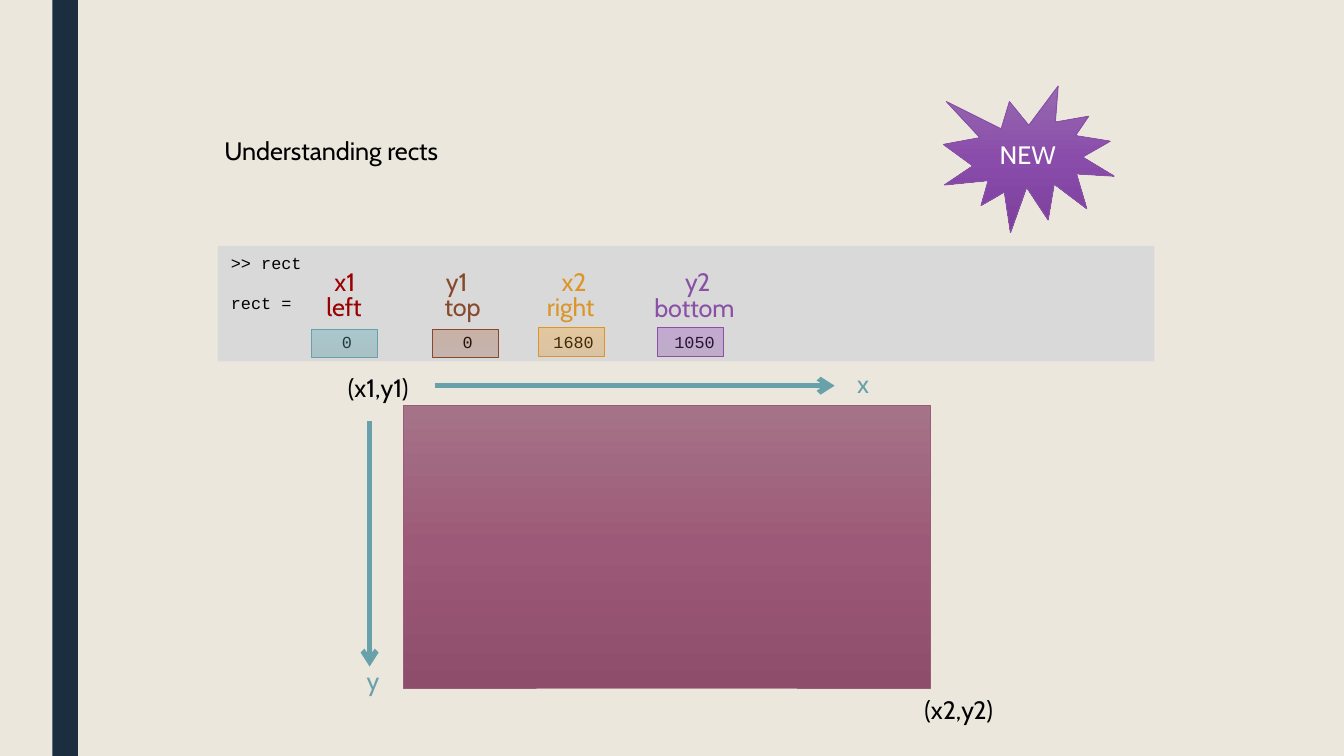
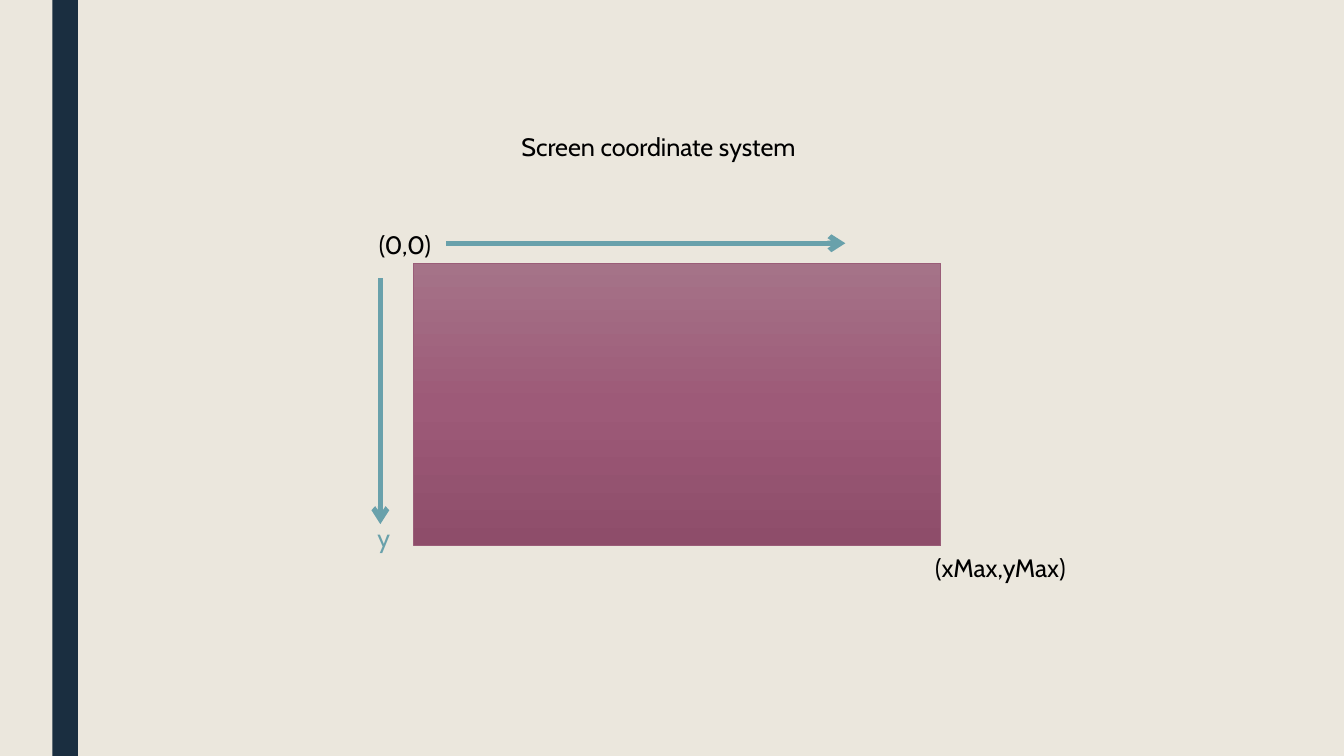
from lxml.etree import SubElement
from pptx import Presentation
from pptx.dml.color import RGBColor
from pptx.enum.shapes import MSO_CONNECTOR as Connector, MSO_SHAPE as Shape
from pptx.enum.text import MSO_ANCHOR as Anchor, MSO_AUTO_SIZE as AutoSize, PP_ALIGN as Align
from pptx.oxml.ns import qn
from pptx.util import Emu, Inches, Pt

SLIDE_W = 10
SLIDE_H = SLIDE_W * 9 / 16
SANS, MONO = "Cabin", "Courier New"
BODY_SIZE, CODE_SIZE = 13.5, 9
LABEL_H = 0.33

CREAM = RGBColor(0xEB, 0xE7, 0xDD)
NAVY = RGBColor(0x1A, 0x2E, 0x40)
GREY = RGBColor(0xD9, 0xD9, 0xD9)
BLACK = RGBColor(0x00, 0x00, 0x00)
WHITE = RGBColor(0xFF, 0xFF, 0xFF)
TEAL = RGBColor(0x69, 0xA1, 0xAB)
RED = RGBColor(0x99, 0x00, 0x00)
BROWN = RGBColor(0x87, 0x49, 0x2C)
ORANGE = RGBColor(0xDC, 0x95, 0x28)
PURPLE = RGBColor(0x89, 0x50, 0xA6)
PLUM = RGBColor(0x9A, 0x5D, 0x78)

SCREEN_SHADES = ("A57388", "9D5A78", "8E4D6A")
BURST_SHADES = ("976AB0", "8A4CAA", "7C3F9B")
DOWNWARD, UPWARD = 270, 90

BAND = (0.39, 0, 0.19, SLIDE_H)
PANEL = (1.62, 1.83, 6.97, 0.86)
BURST = (7.02, 0.64, 1.27, 1.09)
SCREEN_W, SCREEN_H = 3.92, 2.1
CELL_W, CELL_H = 0.49, 0.21
COORDINATE_TOP = 1.93

CONSOLE = [">> rect", "rect ="]
VALUES = ["0", "0", "1680", "1050"]
VALUE_COLUMNS = [11, 23, 32, 44]
CODE_COLUMN = 0.075

FIELDS = [
    dict(coordinate=("x1", 2.39, 0.43), side=("left", 2.33, 2.12, 0.47), ink=RED,
         cell=(2.32, 2.45), edge=TEAL, shades=("5A98A3", "58ACBB"), opacity=37),
    dict(coordinate=("y1", 3.22, 0.43), side=("top", 3.21, 2.12, 0.52), ink=BROWN,
         cell=(3.22, 2.45), edge=BROWN, shades=("8A4A35", "9E4115"), opacity=25),
    dict(coordinate=("x2", 4.08, 0.42), side=("right", 3.97, 2.12, 0.76), ink=ORANGE,
         cell=(4.01, 2.44), edge=ORANGE, shades=("DD8923", "FF9C05"), opacity=27),
    dict(coordinate=("y2", 5.0, 0.52), side=("bottom", 4.77, 2.13, 0.98), ink=PURPLE,
         cell=(4.89, 2.44), edge=PURPLE, shades=("8146A3", "903BBC"), opacity=30),
]

RECTS = dict(
    title=("Understanding rects", 1.57, 0.96, 5.33),
    screen=(3.0, 3.02),
    start=("(x1,y1)", 0.75),
    end=("(x2,y2)", 0.85),
    axes=("x", "y"),
)
COORDINATES = dict(
    title=("Screen coordinate system", 3.78, 0.93, 2.38),
    screen=(3.08, 1.96),
    start=("(0,0)", 0.6),
    end=("(xMax,yMax)", 1.36),
    axes=("", "y"),
)


def inches(*lengths):
    return [Inches(length) for length in lengths]


def format_text(frame, color, font=SANS, size=BODY_SIZE, align=Align.LEFT):
    for paragraph in frame.paragraphs:
        paragraph.alignment = align
        for run in paragraph.runs:
            run.font.name = font
            run.font.size = Pt(size)
            run.font.color.rgb = color


def add_label(slide, text, left, top, width, color=BLACK):
    frame = slide.shapes.add_textbox(*inches(left, top, width, LABEL_H)).text_frame
    frame.word_wrap = True
    frame.margin_right = 0
    frame.auto_size = AutoSize.SHAPE_TO_FIT_TEXT
    frame.text = text
    format_text(frame, color)


def add_plain(slide, box, color):
    plain = slide.shapes.add_shape(Shape.RECTANGLE, *inches(*box))
    plain.shadow.inherit = False
    plain.fill.solid()
    plain.fill.fore_color.rgb = color
    plain.line.fill.background()
    return plain


def add_shaded(slide, kind, box, shades, edge, angle=DOWNWARD, opacity=100):
    shaded = slide.shapes.add_shape(kind, *inches(*box))
    shaded.shadow.inherit = False
    shaded.fill.gradient()
    shaded.fill.gradient_angle = angle
    stops = shaded.element.spPr.find(qn("a:gradFill")).find(qn("a:gsLst"))
    for stop in list(stops):
        stops.remove(stop)
    for index, shade in enumerate(shades):
        position = 100000 * index // (len(shades) - 1)
        stop = SubElement(stops, qn("a:gs"), pos=str(position))
        tint = SubElement(stop, qn("a:srgbClr"), val=shade)
        if opacity < 100:
            SubElement(tint, qn("a:alpha"), val=str(opacity * 1000))
    shaded.line.color.rgb = edge
    shaded.line.width = Pt(0.5)
    return shaded


def add_arrow(slide, *ends):
    arrow = slide.shapes.add_connector(Connector.STRAIGHT, *inches(*ends))
    arrow.line.color.rgb = TEAL
    arrow.line.width = Pt(2.75)
    properties = arrow.element.spPr
    SubElement(properties.find(qn("a:ln")), qn("a:tailEnd"), type="arrow")
    SubElement(properties, qn("a:effectLst"))


def add_title(slide, text, left, top, width):
    title = slide.shapes.title
    title.left, title.top, title.width, title.height = inches(left, top, width, LABEL_H)
    frame = title.text_frame
    frame.text = text
    frame.word_wrap = True
    frame.auto_size = AutoSize.SHAPE_TO_FIT_TEXT
    frame.vertical_anchor = Anchor.TOP
    format_text(frame, BLACK)


def add_diagram(slide, content):
    left, top = content["screen"]
    add_shaded(slide, Shape.RECTANGLE, (left, top, SCREEN_W, SCREEN_H), SCREEN_SHADES, PLUM)

    across, across_y = left + 0.24, top - 0.15
    down, down_x = top + 0.11, left - 0.25
    add_arrow(slide, across, across_y, across + 2.97, across_y)
    add_arrow(slide, down_x, down, down_x, down + 1.83)

    start, start_w = content["start"]
    end, end_w = content["end"]
    add_label(slide, start, across - start_w, top - 0.3, start_w)
    add_label(slide, end, left + 3.78, top + SCREEN_H, end_w)

    x_axis, y_axis = content["axes"]
    if x_axis:
        add_label(slide, x_axis, left + 3.28, top - LABEL_H, 0.34, TEAL)
    add_label(slide, y_axis, left - 0.37, top + 1.88, 0.34, TEAL)


def add_console(slide):
    frame = add_plain(slide, PANEL, GREY).text_frame
    frame.word_wrap = True
    frame.vertical_anchor = Anchor.TOP
    frame.text = "\n".join(CONSOLE + ["".join("\t" + value for value in VALUES)])
    format_text(frame, BLACK, MONO, CODE_SIZE)
    for paragraph in frame.paragraphs[1:]:
        paragraph.space_before = Pt(10.5)
    row = frame.paragraphs[-1]
    tabs = SubElement(row._p.get_or_add_pPr(), qn("a:tabLst"))
    for column in VALUE_COLUMNS:
        SubElement(tabs, qn("a:tab"), pos=str(Inches(column * CODE_COLUMN)), algn="l")


def add_field(slide, field):
    add_shaded(slide, Shape.RECTANGLE, (*field["cell"], CELL_W, CELL_H), field["shades"],
               field["edge"], UPWARD, field["opacity"])
    add_label(slide, *field["side"], field["ink"])
    coordinate, left, width = field["coordinate"]
    add_label(slide, coordinate, left, COORDINATE_TOP, width, field["ink"])


def add_burst(slide):
    burst = add_shaded(slide, Shape.EXPLOSION1, BURST, BURST_SHADES, PURPLE)
    frame = burst.text_frame
    frame.text = "NEW"
    frame.word_wrap = True
    frame.vertical_anchor = Anchor.MIDDLE
    frame.margin_left = frame.margin_right = Emu(0)
    format_text(frame, WHITE, align=Align.CENTER)


def main():
    deck = Presentation()
    deck.slide_width, deck.slide_height = inches(SLIDE_W, SLIDE_H)
    master = deck.slide_master
    master.background.fill.solid()
    master.background.fill.fore_color.rgb = CREAM
    title_only = deck.slide_layouts.get_by_name("Title Only")

    rects = deck.slides.add_slide(title_only)
    master.shapes.element.append(add_plain(rects, BAND, NAVY).element)
    add_title(rects, *RECTS["title"])
    add_console(rects)
    add_diagram(rects, RECTS)
    for field in FIELDS:
        add_field(rects, field)
    add_burst(rects)

    coordinates = deck.slides.add_slide(title_only)
    add_title(coordinates, *COORDINATES["title"])
    add_diagram(coordinates, COORDINATES)

    deck.save("out.pptx")


if __name__ == "__main__":
    main()
